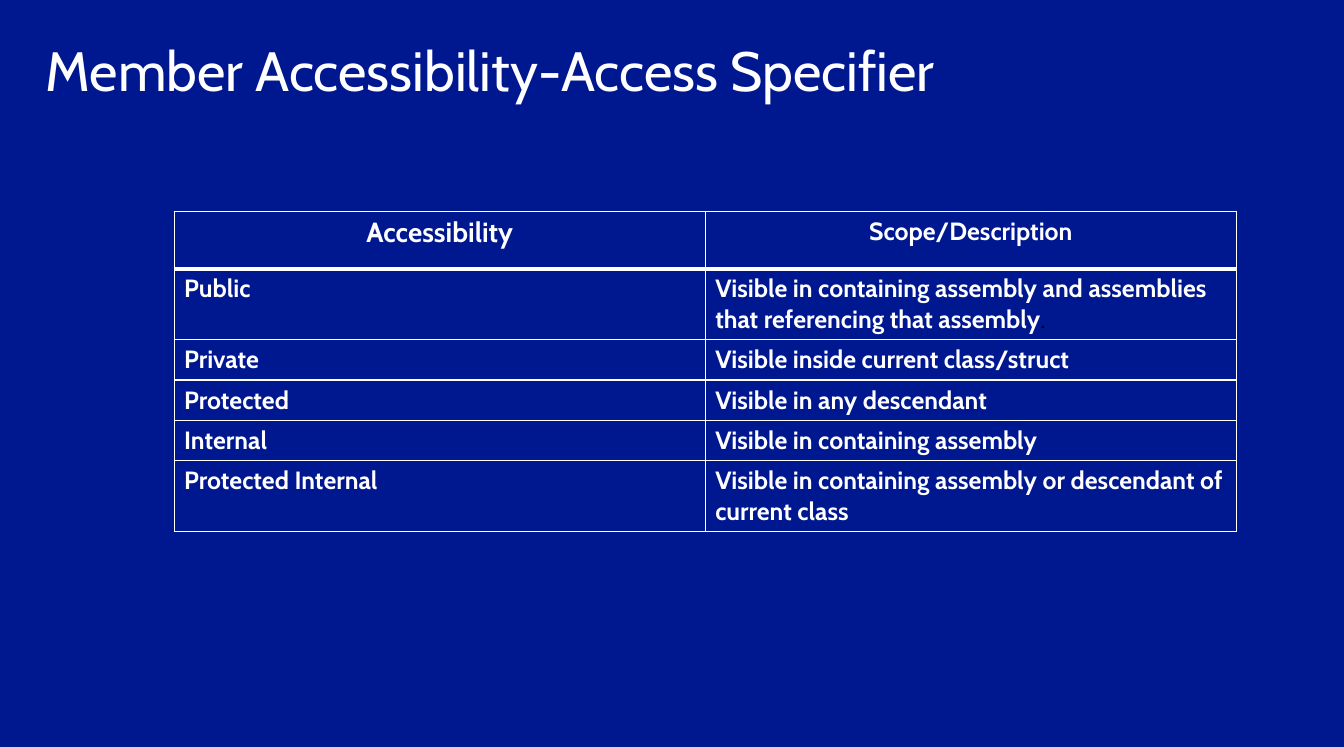
from lxml import etree
from pptx import Presentation
from pptx.dml.color import RGBColor
from pptx.enum.text import MSO_ANCHOR, MSO_AUTO_SIZE, PP_ALIGN
from pptx.oxml.ns import qn
from pptx.util import Inches, Pt

LEFT, CENTER = PP_ALIGN.LEFT, PP_ALIGN.CENTER
TOP = MSO_ANCHOR.TOP
NO_AUTOFIT = MSO_AUTO_SIZE.NONE
COLORS = {"background": "00188F", "text": "FFFFFF", "border": "FFFFFF", "stop": "000000"}
FONT = "Cabin"


def add_text(paragraph, text, size=18, color="text", bold=True, align=LEFT):
    paragraph.alignment = align
    run = paragraph.add_run()
    run.text = text
    run.font.name = FONT
    run.font.size = Pt(size)
    run.font.bold = bold
    run.font.color.rgb = RGBColor.from_string(COLORS[color])


def add_border(cell, side, width):
    line = etree.Element(qn(f"a:ln{side}"), w=str(Pt(width)))
    fill = etree.SubElement(line, qn("a:solidFill"))
    etree.SubElement(fill, qn("a:srgbClr"), val=COLORS["border"])
    cell_format = cell._tc.get_or_add_tcPr()
    cell_format.insert("LRTB".index(side), line)


deck = Presentation()
deck.slide_width, deck.slide_height = Inches(13.5), Inches(7.5)
slide = deck.slides.add_slide(deck.slide_layouts[5])
slide.background.fill.solid()
slide.background.fill.fore_color.rgb = RGBColor.from_string(COLORS["background"])

heading = slide.shapes.title
heading.left, heading.top = Inches(0.3), Inches(0.32)
heading.width, heading.height = Inches(12.9), Inches(0.98)
heading_frame = heading.text_frame
heading_frame.word_wrap = True
heading_frame.auto_size = NO_AUTOFIT
heading_frame.vertical_anchor = TOP
heading_frame.margin_left = heading_frame.margin_right = Inches(0.16)
heading_frame.margin_top = heading_frame.margin_bottom = Inches(0.04)
add_text(heading_frame.paragraphs[0], "Member Accessibility-Access Specifier", size=40, bold=False)

access_levels = [
    ("Accessibility", "Scope/Description"),
    ("Public", "Visible in containing assembly and assemblies that referencing that assembly"),
    ("Private", "Visible inside current class/struct"),
    ("Protected", "Visible in any descendant"),
    ("Internal", "Visible in containing assembly"),
    ("Protected Internal", "Visible in containing assembly or descendant of current class"),
]
row_heights = [0.58, 0.55] + [0.38] * 4
access_table = slide.shapes.add_table(
    len(access_levels), 2, Inches(1.75), Inches(2.12), Inches(10.67), Inches(sum(row_heights))
).table
access_table.first_row = False
access_table.horz_banding = False

for row, (level, height) in enumerate(zip(access_levels, row_heights)):
    access_table.rows[row].height = Inches(height)
    for column, text in enumerate(level):
        cell = access_table.cell(row, column)
        cell.fill.background()
        for side in "LRTB":
            header_rule = (row, side) in [(0, "B"), (1, "T")]
            add_border(cell, side, 3 if header_rule else 1)
        add_text(
            cell.text_frame.paragraphs[0],
            text,
            size=20 if (row, column) == (0, 0) else 18,
            align=CENTER if row == 0 else LEFT,
        )

public_scope = access_table.cell(1, 1).text_frame.paragraphs[0]
add_text(public_scope, ".", color="stop", bold=False)

deck.save("out.pptx")
